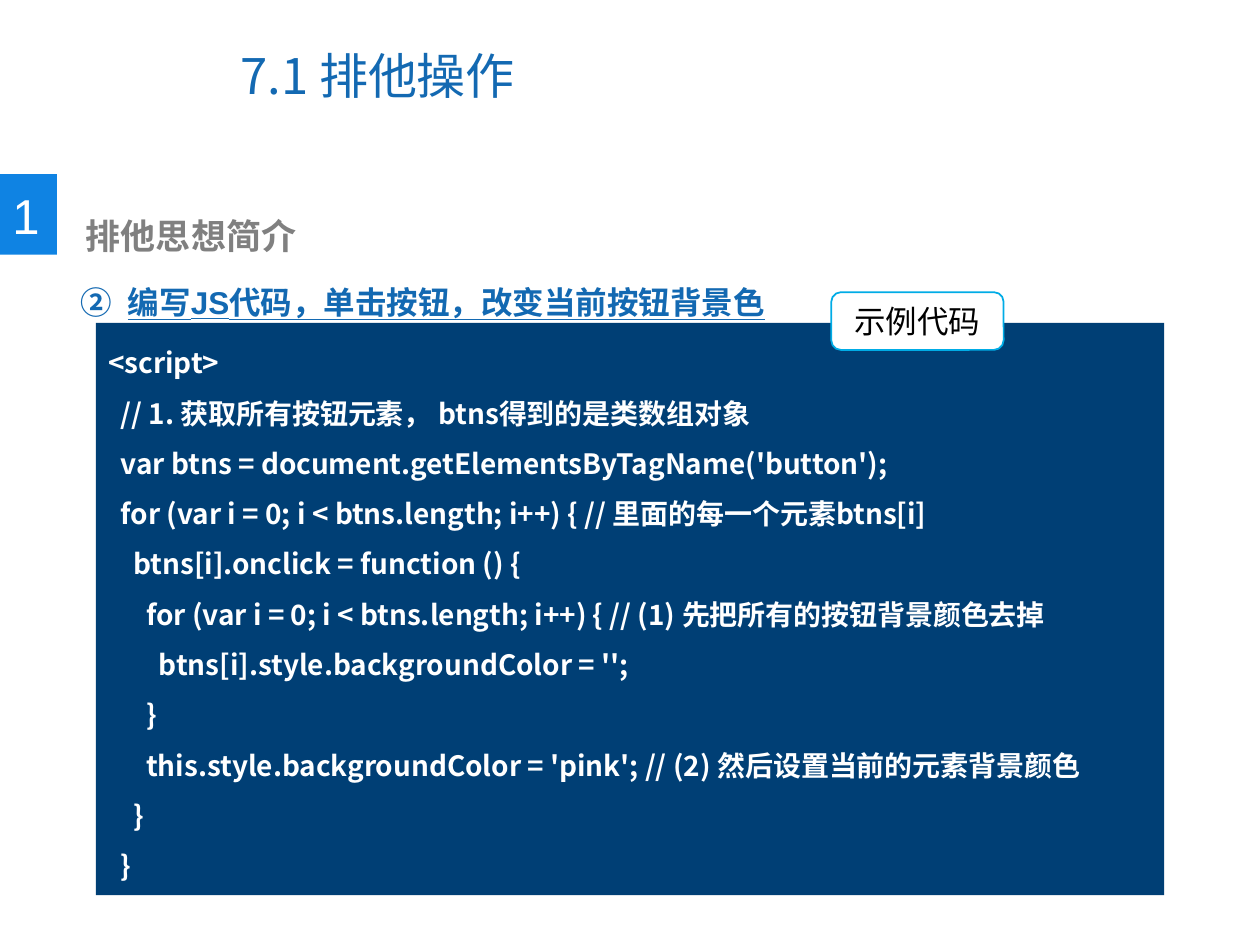
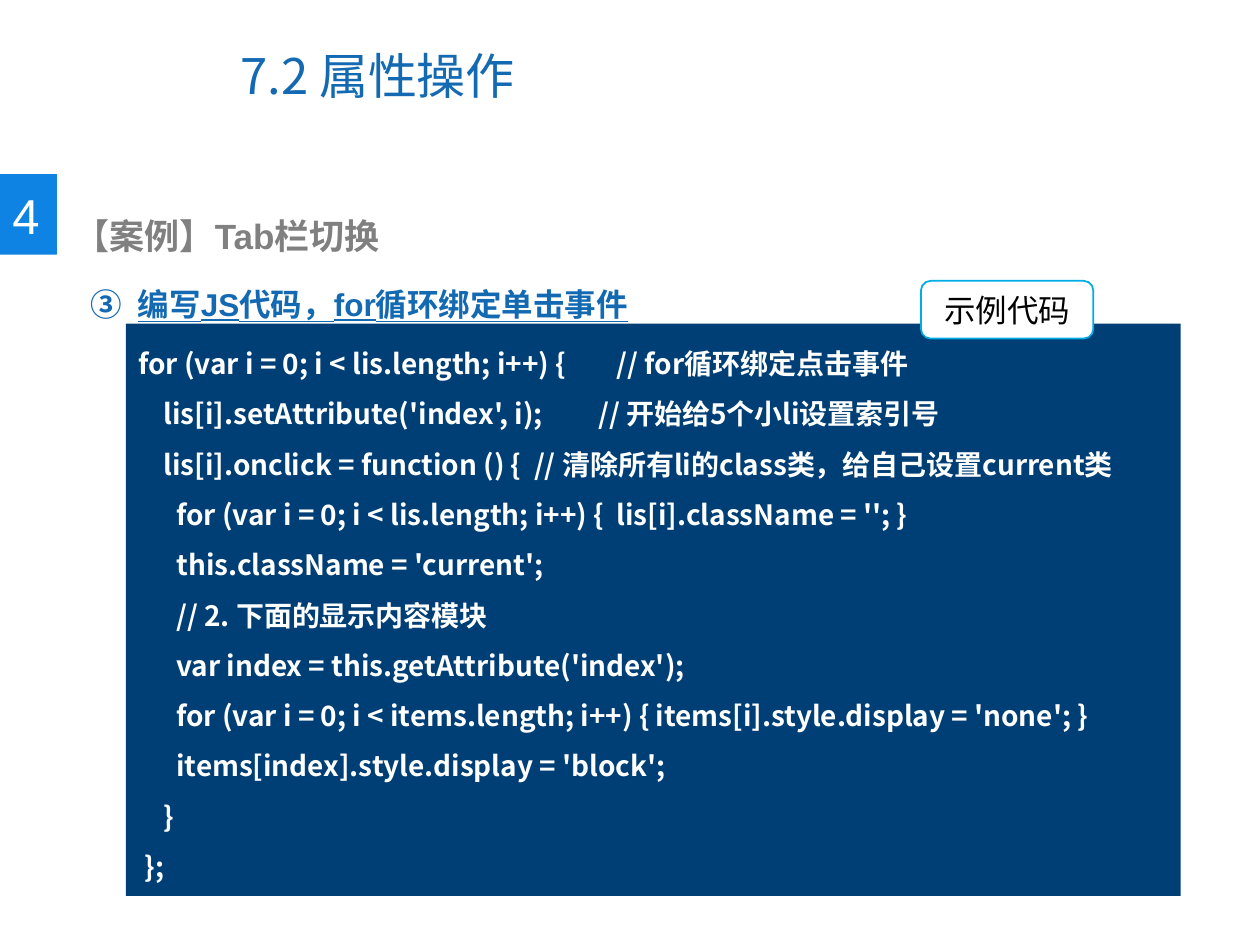
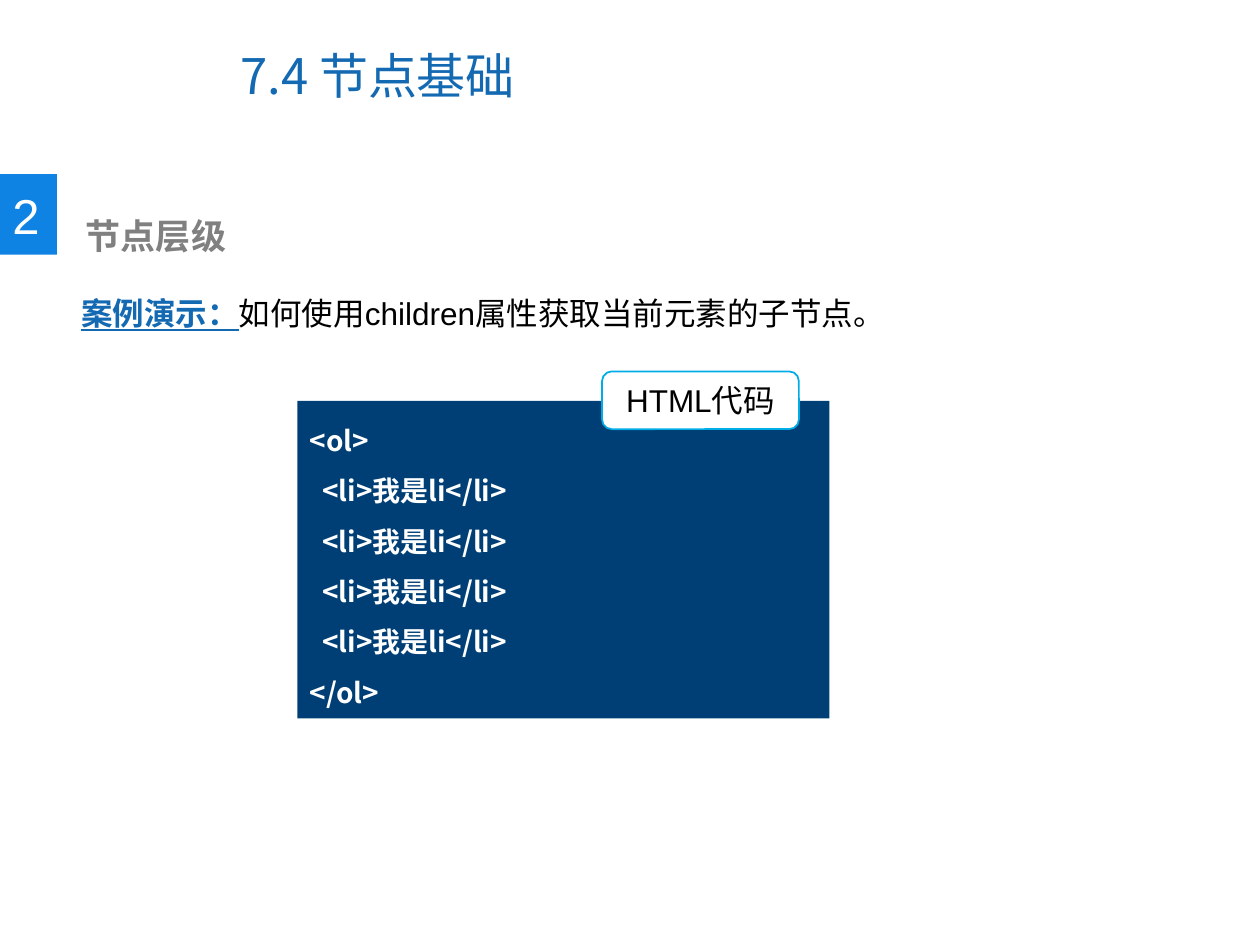
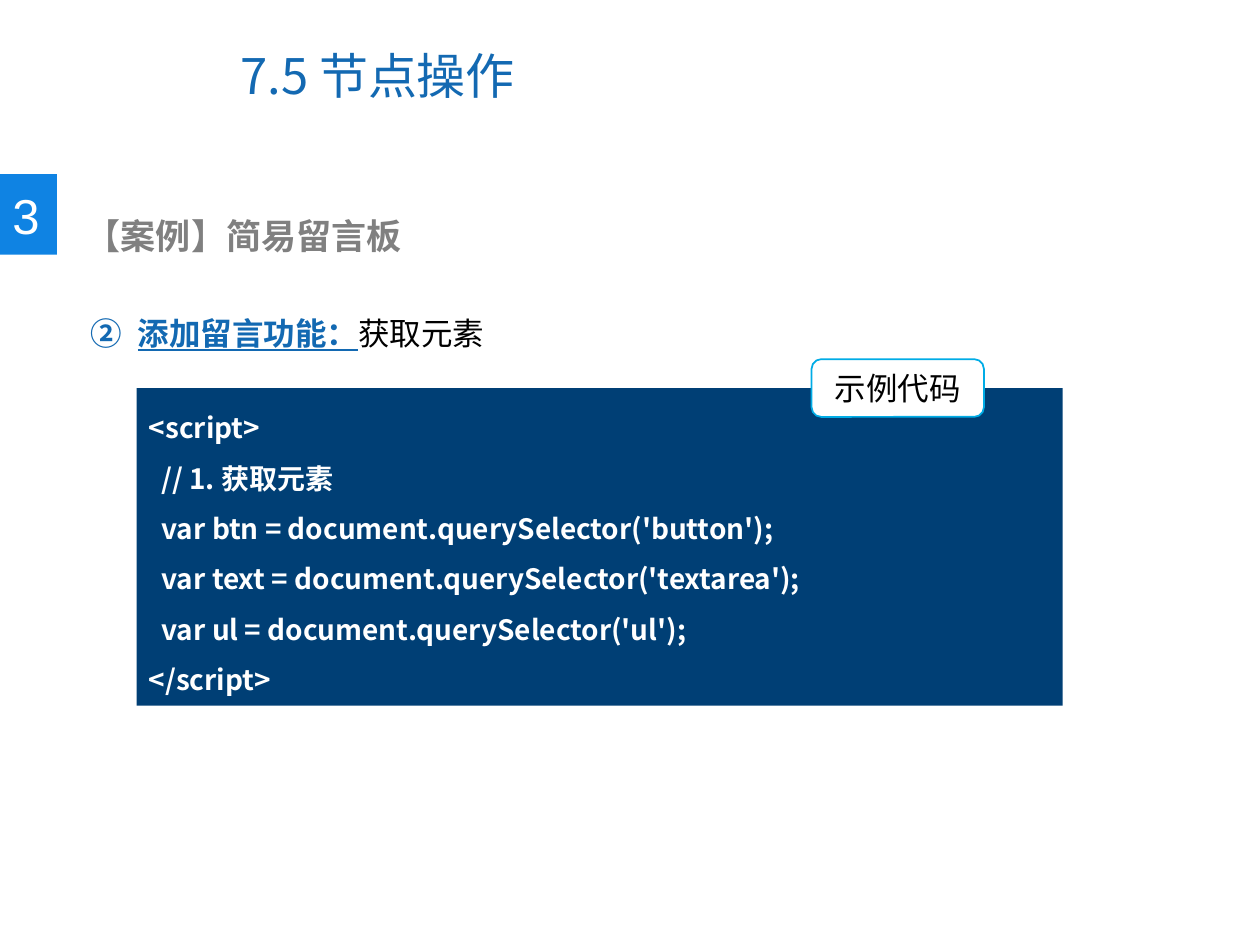
from lxml import etree
from pptx import Presentation
from pptx.dml.color import RGBColor
from pptx.enum.shapes import MSO_SHAPE
from pptx.enum.text import MSO_ANCHOR, PP_ALIGN
from pptx.oxml.ns import qn
from pptx.util import Pt

RECT, ROUND = MSO_SHAPE.RECTANGLE, MSO_SHAPE.ROUNDED_RECTANGLE
TOP, MIDDLE = MSO_ANCHOR.TOP, MSO_ANCHOR.MIDDLE
LEFT, CENTER = PP_ALIGN.LEFT, PP_ALIGN.CENTER
SANS, CJK = "Arial", "Noto Sans CJK SC"
C = {"title": "1369B2", "badge": "0F83E3", "heading": "808080", "code": "003F75",
     "label": "00ACE6", "white": "FFFFFF", "black": "000000"}


def write(sp, text, font=SANS, size=18, color="black", bold=False, underline=False,
          align=LEFT, anchor=TOP, spacing=None, indent=0, number=None, wrap=True, tail=""):
    tf = sp.text_frame
    tf.word_wrap, tf.vertical_anchor = wrap, anchor
    for i, line in enumerate(text.split("\n")):
        p = tf.paragraphs[0] if i == 0 else tf.add_paragraph()
        p.alignment = align
        pPr = p._p.get_or_add_pPr()
        if indent:
            pPr.set("marL", str(Pt(indent)))
        if number:
            pPr.set("indent", str(-Pt(indent)))
            etree.SubElement(pPr, qn("a:buAutoNum"), type="circleNumDbPlain", startAt=str(number))
        if spacing:
            p.line_spacing = Pt(spacing)
        runs = [(line, color, bold, underline)]
        if tail:
            runs.append((tail, "black", False, False))
        for content, tint, b, u in runs:
            r = p.add_run()
            r.text = content
            r.font.name, r.font.size, r.font.bold, r.font.underline = font, Pt(size), b, u
            r.font.color.rgb = RGBColor.from_string(C[tint])
            etree.SubElement(r._r.get_or_add_rPr(), qn("a:ea"), typeface=CJK)


def box(s, at, kind=None, fill=None, line=None):
    at = [Pt(v) for v in at]
    if kind is None:
        return s.shapes.add_textbox(*at)
    sp = s.shapes.add_shape(kind, *at)
    sp.shadow.inherit = False
    sp.fill.solid()
    sp.fill.fore_color.rgb = RGBColor.from_string(C[fill])
    if line:
        sp.line.color.rgb = RGBColor.from_string(C[line])
        sp.line.width = Pt(1)
    else:
        sp.line.fill.background()
    return sp


slides = [
    dict(title="7.1 排他操作", badge="1", heading="排他思想简介", heading_at=(34, 8),
         step="编写JS代码，单击按钮，改变当前按钮背景色", number=2, step_at=(39, 136),
         code_at=(54.75, 184.5, 610.5, 327), label="示例代码", label_at=(475, 167, 98.5),
         code="""<script>
  // 1. 获取所有按钮元素， btns得到的是类数组对象
  var btns = document.getElementsByTagName('button');
  for (var i = 0; i < btns.length; i++) { // 里面的每一个元素btns[i]
    btns[i].onclick = function () {
      for (var i = 0; i < btns.length; i++) { // (1) 先把所有的按钮背景颜色去掉
        btns[i].style.backgroundColor = '';
      }
      this.style.backgroundColor = 'pink'; // (2) 然后设置当前的元素背景颜色
    }
  }"""),
    dict(title="7.2 属性操作", badge="4", heading="【案例】Tab栏切换", heading_at=(30, 5.5),
         step="编写JS代码，for循环绑定单击事件", number=3, step_at=(44.75, 137),
         code_at=(72, 185, 602.75, 327), label="示例代码", label_at=(526.25, 160.5, 98.5),
         code="""for (var i = 0; i < lis.length; i++) {        // for循环绑定点击事件
    lis[i].setAttribute('index', i);\t   // 开始给5个小li设置索引号
    lis[i].onclick = function () {  // 清除所有li的class类，给自己设置current类
      for (var i = 0; i < lis.length; i++) {  lis[i].className = ''; }
      this.className = 'current';
      // 2. 下面的显示内容模块
      var index = this.getAttribute('index');
      for (var i = 0; i < items.length; i++) { items[i].style.display = 'none'; }
      items[index].style.display = 'block';
    }
 };"""),
    dict(title="7.4 节点基础", badge="2", heading="节点层级", heading_at=(34, 8),
         step="案例演示：", tail="如何使用children属性获取当前元素的子节点。", step_at=(39.5, 142),
         code_at=(170, 229, 304, 181.5), label="HTML代码", label_at=(344, 212.25, 112.5),
         code="\n".join(["<ol>"] + ["  <li>我是li</li>"] * 4 + ["</ol>"])),
    dict(title="7.5 节点操作", badge="3", heading="【案例】简易留言板", heading_at=(34, 8),
         step="添加留言功能：", tail="获取元素", number=2, step_at=(44.75, 153.5),
         code_at=(78, 221.75, 529.25, 181.5), label="示例代码", label_at=(463.75, 205.25, 98.5),
         code="""<script>
  // 1. 获取元素
  var btn = document.querySelector('button');
  var text = document.querySelector('textarea');
  var ul = document.querySelector('ul');
</script>"""),
]

prs = Presentation()
prs.slide_width, prs.slide_height = Pt(720), Pt(540)

for d in slides:
    s = prs.slides.add_slide(prs.slide_layouts[6])

    write(box(s, (130.25, 12.25, 371.5, 61.25)), d["title"], font=CJK, size=28,
          color="title", anchor=MIDDLE)

    box(s, (0, 99.5, 32.5, 46), RECT, "badge")
    write(box(s, (0, 102.25, 30, 41)), d["badge"], size=28, color="white", spacing=34, wrap=False)

    left, indent = d["heading_at"]
    write(box(s, (left, 117.25, 370, 31.5)), d["heading"], size=20, color="heading",
          bold=True, spacing=26, indent=indent)

    number = d.get("number")
    write(box(s, (*d["step_at"], 623, 48)), d["step"], color="title", bold=True, underline=True,
          spacing=44, indent=27 if number else 0, number=number, tail=d.get("tail", ""))

    write(box(s, d["code_at"], RECT, "code"), d["code"], font=CJK, size=16, color="white",
          bold=True, spacing=28.75)

    left, top, width = d["label_at"]
    write(box(s, (left, top, width, 33), ROUND, "white", "label"), d["label"],
          align=CENTER, anchor=MIDDLE)

prs.save("out.pptx")
